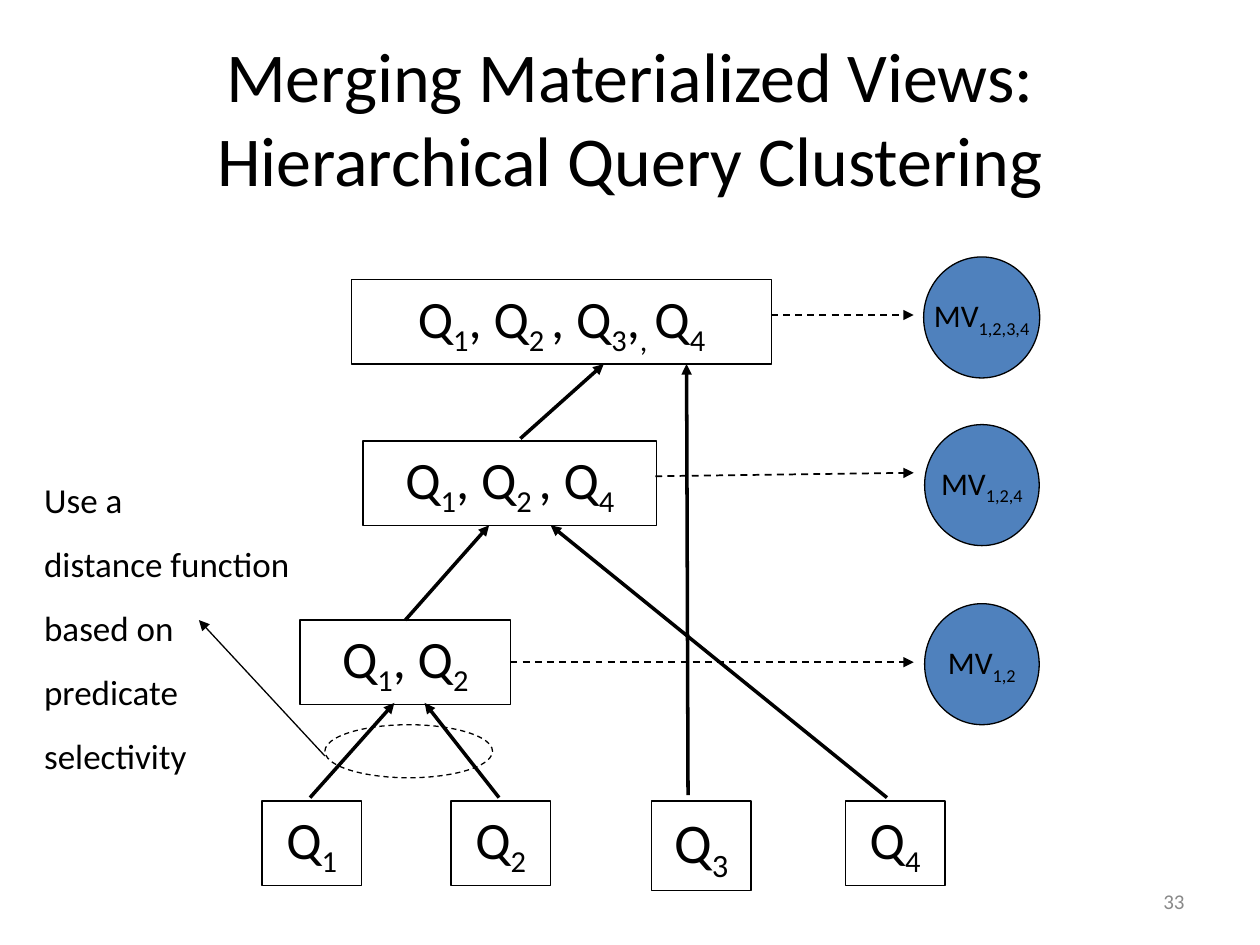
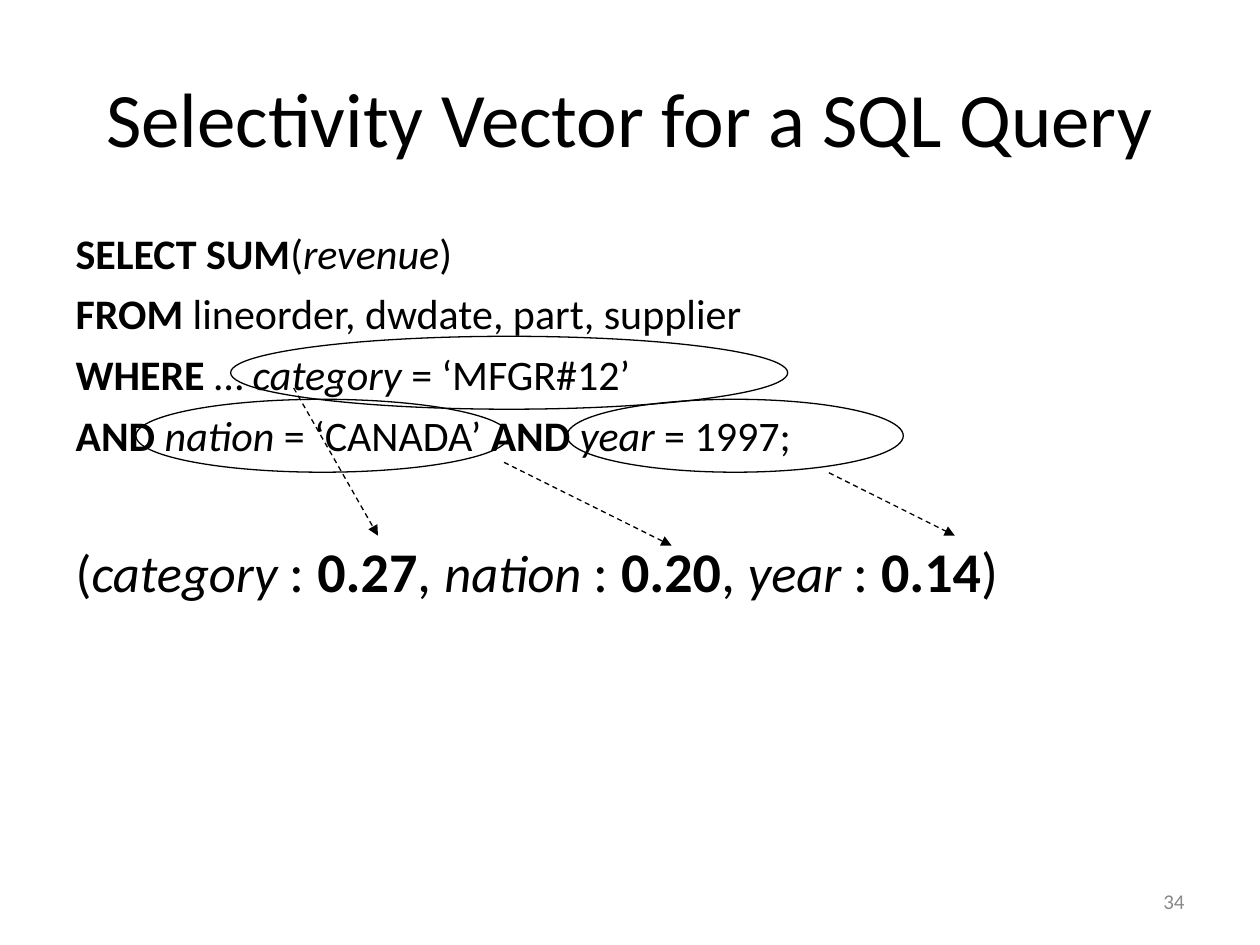
from lxml import etree
from pptx import Presentation
from pptx.dml import color as rgb
from pptx.enum import dml, shapes, text
from pptx.oxml import ns
from pptx.util import Cm, Pt

FONT = "Calibri"
COLORS = {"ink": "000000", "view": "4F81BD", "number": "898989"}
TITLE_ONLY, TITLE_AND_BODY = 5, 1
RECT, OVAL = shapes.MSO_SHAPE.RECTANGLE, shapes.MSO_SHAPE.OVAL
TOP, RIGHT = 0, 3


def color(name):
    return rgb.RGBColor.from_string(COLORS[name])


class Deck:
    """Holds the shared style and the slide being built."""

    def __init__(self):
        self.prs = Presentation()
        self.prs.slide_width, self.prs.slide_height = Cm(25.4), Cm(19.05)
        self.slide = None

    def new_slide(self, layout, number):
        self.slide = self.prs.slides.add_slide(self.prs.slide_layouts[layout])
        self.note([str(number)], (18.21, 17.65, 5.92, 1.02), 12, "number",
                  text.PP_ALIGN.RIGHT, text.MSO_ANCHOR.MIDDLE)

    def run(self, paragraph, words, size, ink="ink", bold=False, italic=False, sub=False):
        run = paragraph.add_run()
        run.text = words
        font = run.font
        font.name, font.size, font.bold, font.italic = FONT, Pt(size), bold, italic
        font.color.rgb = color(ink)
        if sub:
            run._r.get_or_add_rPr().set("baseline", "-25000")

    def subscripted(self, paragraph, label, size):
        """Add a label whose parts between underscores are subscripts."""
        for i, part in enumerate(label.split("_")):
            if part:
                self.run(paragraph, part, size, sub=i % 2 == 1)

    def place(self, shape, box):
        shape.left, shape.top, shape.width, shape.height = map(Cm, box)

    def title(self, lines, size, box):
        title = self.slide.shapes.title
        self.place(title, box)
        frame = title.text_frame
        frame.auto_size = text.MSO_AUTO_SIZE.NONE
        frame.vertical_anchor = text.MSO_ANCHOR.MIDDLE
        paragraph = frame.paragraphs[0]
        paragraph.alignment = text.PP_ALIGN.CENTER
        for i, line in enumerate(lines):
            if i:
                paragraph.add_line_break()
            self.run(paragraph, line, size)

    def body(self, lines, box):
        """Fill the body with (space before, runs); a run is (words, style, size)."""
        body = self.slide.placeholders[1]
        self.place(body, box)
        frame = body.text_frame
        frame.auto_size = text.MSO_AUTO_SIZE.NONE
        for i, (space, runs) in enumerate(lines):
            paragraph = frame.add_paragraph() if i else frame.paragraphs[0]
            props = paragraph._p.get_or_add_pPr()
            props.set("marL", str(Cm(0.95)))
            props.set("indent", str(Cm(-0.95)))
            etree.SubElement(props, ns.qn("a:buNone"))
            paragraph.space_before = Pt(space)
            for words, style, size in runs:
                self.run(paragraph, words, size, bold=style == "b", italic=style == "i")

    def note(self, lines, box, size, ink="ink", align=text.PP_ALIGN.LEFT,
             anchor=text.MSO_ANCHOR.TOP, gap=0):
        frame = self.slide.shapes.add_textbox(*map(Cm, box)).text_frame
        frame.word_wrap = True
        frame.vertical_anchor = anchor
        for i, line in enumerate(lines):
            paragraph = frame.add_paragraph() if i else frame.paragraphs[0]
            paragraph.alignment = align
            paragraph.space_before = Pt(gap if i else 0)
            self.run(paragraph, line, size, ink)

    def outline(self, kind, box, fill=None, dashed=False):
        shape = self.slide.shapes.add_shape(kind, *map(Cm, box))
        shape.shadow.inherit = False
        if fill:
            shape.fill.solid()
            shape.fill.fore_color.rgb = color(fill)
        else:
            shape.fill.background()
        self.stroke(shape.line, 0.75, dashed)
        return shape

    def stroke(self, line, width, dashed):
        line.color.rgb = color("ink")
        line.width = Pt(width)
        if dashed:
            line.dash_style = dml.MSO_LINE.DASH

    def label(self, shape, words, size, anchor, wrap):
        frame = shape.text_frame
        frame.word_wrap, frame.vertical_anchor = wrap, anchor
        frame.paragraphs[0].alignment = text.PP_ALIGN.CENTER
        self.subscripted(frame.paragraphs[0], words, size)

    def query(self, words, left, top, width, height=1.7, size=30):
        box = self.outline(RECT, (left, top, width, height))
        self.label(box, words, size, text.MSO_ANCHOR.TOP, True)
        return box

    def view(self, queries, left, top, width):
        circle = self.outline(OVAL, (left, top, width, 2.44), "view")
        self.label(circle, f"MV_{queries}_", 18, text.MSO_ANCHOR.MIDDLE, False)

    def arrow(self, start, end, width=0.75, dashed=False):
        """Draw an arrow from a point or from a (shape, side) pair to a point."""
        joined = not isinstance(start[0], (int, float))
        origin = end if joined else start
        arrow = self.slide.shapes.add_connector(
            shapes.MSO_CONNECTOR.STRAIGHT, *map(Cm, origin + end))
        if joined:
            arrow.begin_connect(*start)
        self.stroke(arrow.line, width, dashed)
        etree.SubElement(arrow.line._get_or_add_ln(), ns.qn("a:tailEnd"), type="triangle")
        etree.SubElement(arrow._element.spPr, ns.qn("a:effectLst"))


def clustering_slide(deck):
    deck.new_slide(TITLE_ONLY, 33)
    deck.title(["Merging Materialized Views:", "Hierarchical Query Clustering"], 40,
               (1.27, 0.76, 22.86, 3.18))

    leaf_top, leaf_width = 16.15, 2.01
    for number, left in ((1, 5.28), (2, 9.09), (4, 17.04)):
        deck.query(f"Q_{number}_", left, leaf_top, leaf_width)
    deck.query("Q_3_", 13.13, leaf_top, leaf_width, 1.8, 32)
    pair = deck.query("Q_1_, Q_2_", 6.05, 12.5, 4.24)
    deck.query("Q_1_, Q_2 _, Q_4_", 7.32, 8.89, 5.92)
    deck.query("Q_1_, Q_2 _, Q_3_,_, _Q_4_", 7.09, 5.64, 8.46)

    merges = [((6.25, 16.08), (7.95, 14.17)), ((10.06, 16.08), (8.56, 14.17)),
              ((17.88, 16.08), (11.1, 10.59)), ((pair, TOP), (9.86, 10.59)),
              ((13.87, 16.03), (13.84, 7.34)), ((10.49, 8.84), (12.17, 7.34))]
    for start, end in merges:
        deck.arrow(start, end, 2)

    view_links = [((pair, RIGHT), (18.42, 13.35)), ((15.54, 6.35), (18.42, 6.35)),
                  ((13.21, 9.6), (18.42, 9.53))]
    for start, end in view_links:
        deck.arrow(start, end, 1, dashed=True)
    deck.view("1,2,3,4", 18.62, 5.18, 2.34)
    deck.view("1,2,4", 18.64, 8.56, 2.31)
    deck.view("1,2", 18.64, 12.17, 2.31)

    deck.note(["Use a", "distance function", "based on", "predicate", "selectivity"],
              (0.64, 9.53, 7.19, 6.25), 20, gap=12.5)
    deck.outline(OVAL, (6.55, 14.61, 3.38, 1.07), dashed=True)
    deck.arrow((6.55, 15.24), (4.01, 12.5))


def selectivity_slide(deck):
    deck.new_slide(TITLE_AND_BODY, 34)
    deck.title(["Selectivity Vector for a SQL Query"], 44, (0, 0.76, 25.4, 3.18))

    sql = [
        [("SELECT SUM", "b"), ("(", ""), ("revenue", "i"), (")", "")],
        [("FROM", "b"), (" lineorder, dwdate, part, supplier", "")],
        [("WHERE", "b"), (" … ", ""), ("category", "i"), (" = ‘MFGR#12’", "")],
        [("AND ", "b"), ("nation", "i"), (" = ‘CANADA’ ", ""),
         ("AND ", "b"), ("year", "i"), (" = 1997;", "")],
    ]
    lines = [(6 if i else 0, [(words, style, 24) for words, style in runs])
             for i, runs in enumerate(sql)]
    vector = []
    for attribute, value in (("category", "0.27"), ("nation", "0.20"), ("year", "0.14")):
        vector += [(", ", "", 32) if vector else ("(", "", 30),
                   (attribute + " ", "i", 30), (": ", "", 32), (value, "b", 32)]
    vector.append((")", "", 32))
    deck.body(lines + [(43.3, vector)], (1.27, 4.45, 22.86, 13.54))

    for start, end in (((5.92, 7.82), (7.62, 10.8)), ((10.16, 9.32), (13.54, 11)),
                       ((16.71, 9.53), (19.25, 10.8))):
        deck.arrow(start, end, dashed=True)
    for left, top, width in ((4.65, 6.78, 11.23), (2.74, 8.05, 7.52), (11.43, 8.05, 6.78)):
        deck.outline(OVAL, (left, top, width, 1.47))


def main():
    deck = Deck()
    clustering_slide(deck)
    selectivity_slide(deck)
    deck.prs.save("out.pptx")


if __name__ == "__main__":
    main()
